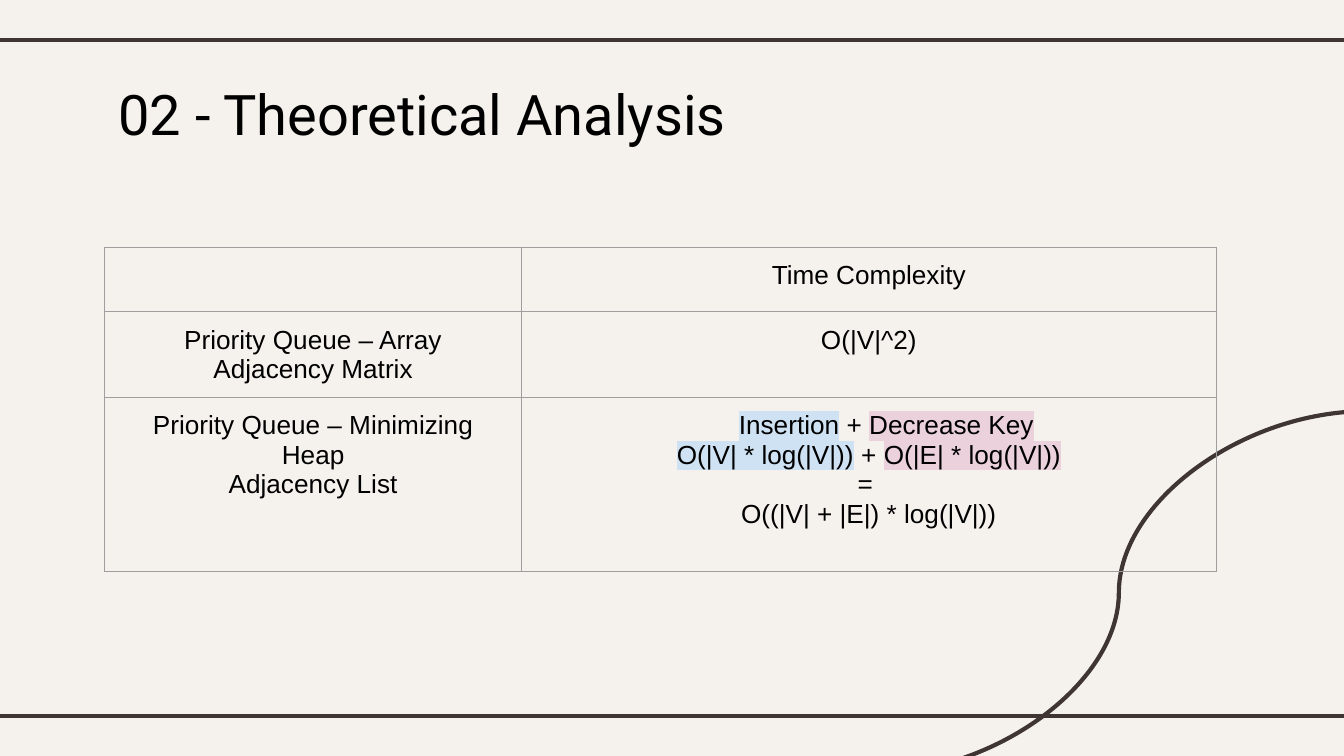
from dataclasses import dataclass

from lxml import etree
from pptx import Presentation
from pptx import util as u
from pptx.dml.color import RGBColor
from pptx.enum import shapes, text
from pptx.oxml import ns
from pptx.slide import Slide

CREAM = RGBColor(0xF5, 0xF2, 0xEE)
BROWN = RGBColor(0x3F, 0x35, 0x33)
BLACK = RGBColor(0, 0, 0)
GREY = RGBColor(0x9E, 0x9E, 0x9E)
BLUE = RGBColor(0xCF, 0xE2, 0xF3)
PINK = RGBColor(0xEA, 0xD1, 0xDC)

SLIDE_WIDTH = 10
SLIDE_HEIGHT = SLIDE_WIDTH * 9 / 16
COLUMN_WIDTHS = (3.1, 5.17)
ROW_HEIGHTS = (0.48, 0.64, 1.29)
INSERTION_INDENT = 0.26
HEAP_COMPLEXITY = [
    ("Insertion", BLUE),
    (" + ", None),
    ("Decrease Key\n", PINK),
    ("O(|V| * log(|V|))", BLUE),
    (" + ", None),
    ("O(|E| * log(|V|))\n", PINK),
    ("= \nO((|V| + |E|) * log(|V|))", None),
]
ROWS = [
    [[""], ["Time Complexity"]],
    [["Priority Queue – Array\nAdjacency Matrix"], ["O(|V|^2)"]],
    [["Priority Queue – Minimizing Heap", "Adjacency List"], [HEAP_COMPLEXITY]],
]


def add_color(parent, tag, color):
    element = etree.SubElement(parent, ns.qn(tag))
    etree.SubElement(element, ns.qn("a:srgbClr"), val=str(color))


@dataclass
class SlideBuilder:
    slide: Slide
    title_font: str = "Roboto"
    body_font: str = "Arial"
    title_size: float = 30
    body_size: float = 14
    line_width: float = 2.25
    border_width: float = 0.75

    def background(self, color):
        fill = self.slide.background.fill
        fill.solid()
        fill.fore_color.rgb = color

    def style(self, font, name, size):
        font.name = name
        font.size = u.Pt(size)
        font.color.rgb = BLACK

    def line(self, kind, *ends):
        connector = self.slide.shapes.add_connector(kind, *map(u.Inches, ends))
        connector.line.color.rgb = BROWN
        connector.line.width = u.Pt(self.line_width)
        etree.SubElement(connector._element.spPr, ns.qn("a:effectLst"))

    def title(self, words, left, top, width, height):
        title = self.slide.shapes.title
        title.left, title.top = u.Inches(left), u.Inches(top)
        title.width, title.height = u.Inches(width), u.Inches(height)
        frame = title.text_frame
        frame.text = words
        frame.auto_size = text.MSO_AUTO_SIZE.NONE
        frame.vertical_anchor = text.MSO_ANCHOR.TOP
        frame.margin_left = frame.margin_right = u.Inches(0.1)
        frame.margin_top = frame.margin_bottom = u.Inches(0.1)
        paragraph = frame.paragraphs[0]
        paragraph.alignment = text.PP_ALIGN.LEFT
        self.style(paragraph.font, self.title_font, self.title_size)

    def runs(self, paragraph, pieces):
        for words, highlight in pieces:
            for index, line in enumerate(words.split("\n")):
                if index:
                    paragraph.add_line_break()
                if not line:
                    continue
                run = paragraph.add_run()
                run.text = line
                if highlight is not None:
                    add_color(run._r.get_or_add_rPr(), "a:highlight", highlight)

    def cell(self, cell, contents):
        cell.margin_left = cell.margin_right = u.Inches(0.1)
        cell.margin_top = cell.margin_bottom = u.Inches(0.1)
        properties = cell._tc.get_or_add_tcPr()
        for side in ("a:lnL", "a:lnR", "a:lnT", "a:lnB"):
            width = str(u.Pt(self.border_width))
            border = etree.SubElement(properties, ns.qn(side), w=width)
            add_color(border, "a:solidFill", GREY)
        cell.fill.background()
        frame = cell.text_frame
        for index, content in enumerate(contents):
            paragraph = frame.add_paragraph() if index else frame.paragraphs[0]
            paragraph.alignment = text.PP_ALIGN.CENTER
            self.style(paragraph.font, self.body_font, self.body_size)
            pieces = [(content, None)] if isinstance(content, str) else content
            self.runs(paragraph, pieces)

    def table(self, rows, left, top, widths, heights):
        frame = self.slide.shapes.add_table(
            len(heights), len(widths), u.Inches(left), u.Inches(top),
            u.Inches(sum(widths)), u.Inches(sum(heights)),
        )
        table = frame.table
        table.first_row = table.horz_banding = False
        for column, width in zip(table.columns, widths):
            column.width = u.Inches(width)
        for row, height, contents in zip(table.rows, heights, rows):
            row.height = u.Inches(height)
            for cell, content in zip(row.cells, contents):
                self.cell(cell, content)
        return table


def main():
    presentation = Presentation()
    presentation.slide_width = u.Inches(SLIDE_WIDTH)
    presentation.slide_height = u.Inches(SLIDE_HEIGHT)
    builder = SlideBuilder(presentation.slides.add_slide(presentation.slide_layouts[5]))

    builder.background(CREAM)
    for y in (0.3, 5.33):
        builder.line(shapes.MSO_CONNECTOR.STRAIGHT, -0.08, y, 10.08, y)
    builder.line(shapes.MSO_CONNECTOR.CURVE, 10.17, 3.06, 6.48, 5.76)
    builder.title("02 - Theoretical Analysis", 0.78, 0.49, 6.21, 0.63)
    table = builder.table(ROWS, 0.78, 1.84, COLUMN_WIDTHS, ROW_HEIGHTS)
    complexity = table.cell(2, 1).text_frame.paragraphs[0]
    complexity._p.get_or_add_pPr().set("indent", str(u.Inches(INSERTION_INDENT)))

    presentation.save("out.pptx")


if __name__ == "__main__":
    main()
